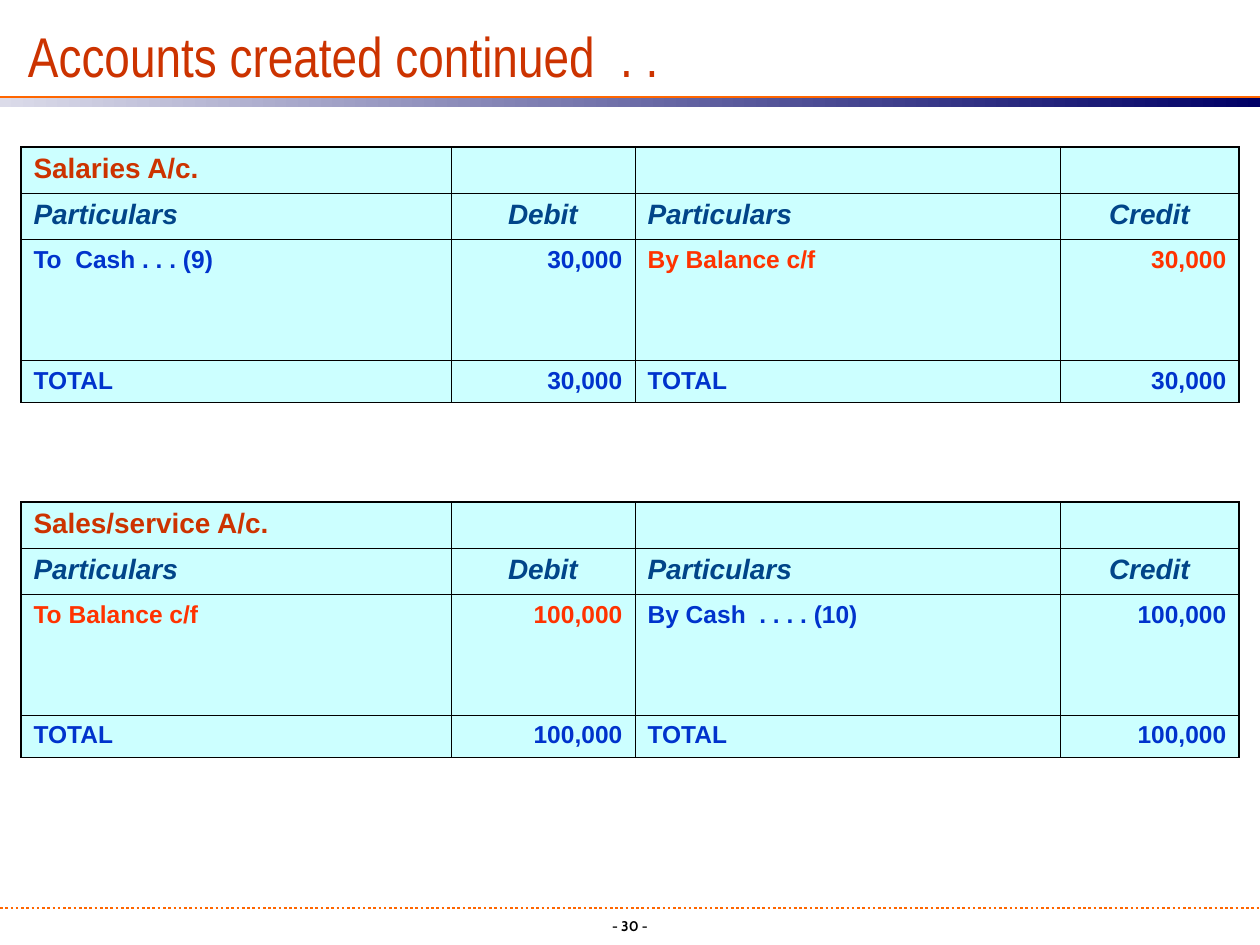
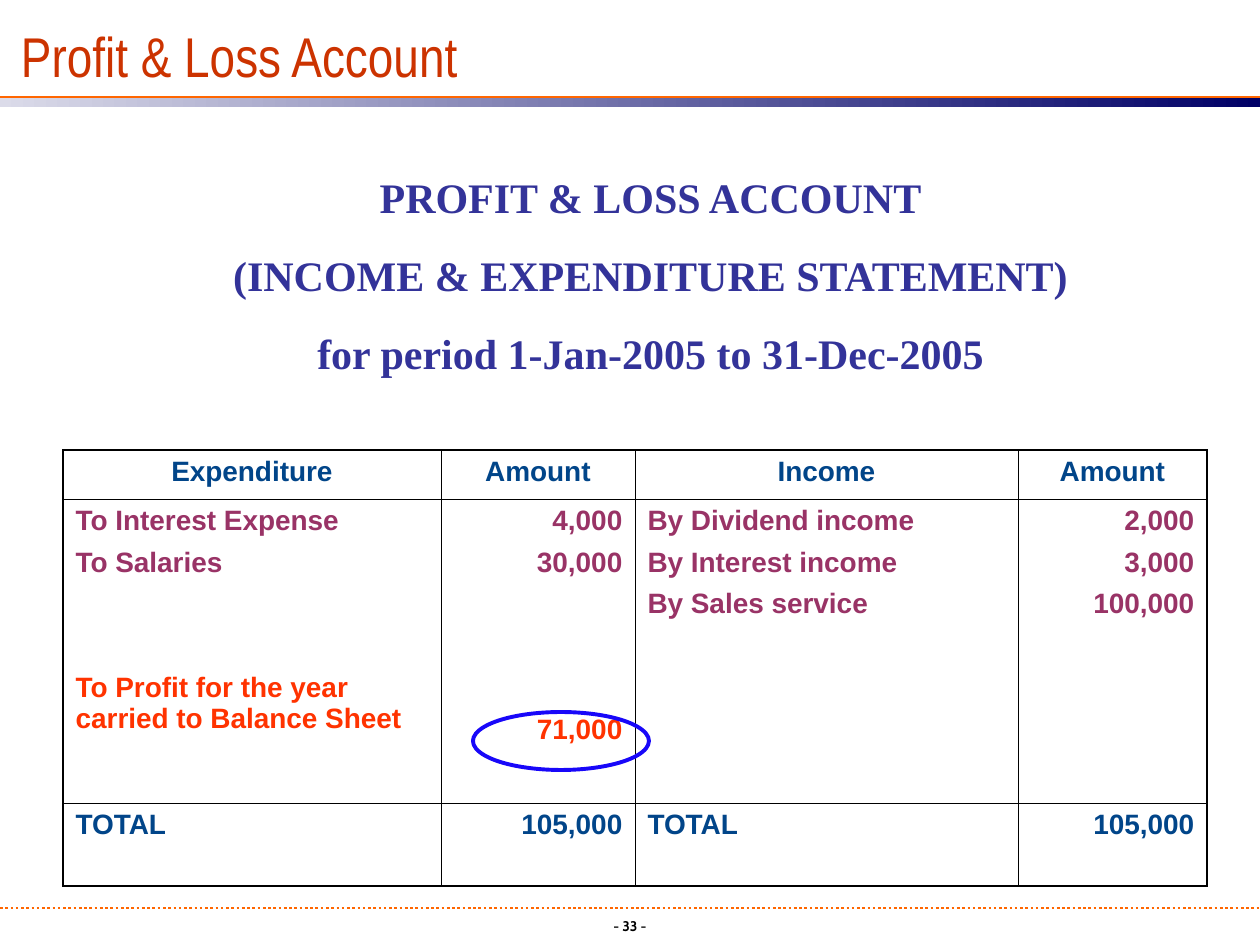
from lxml.etree import SubElement
from pptx import Presentation
from pptx.dml.color import RGBColor
from pptx.enum.dml import MSO_LINE
from pptx.enum.shapes import MSO_CONNECTOR, MSO_SHAPE
from pptx.enum.text import MSO_ANCHOR, MSO_AUTO_SIZE, PP_ALIGN
from pptx.oxml.ns import qn
from pptx.util import Pt

PX = 7257  # EMU per px, 126 px to the inch
WIDTH, HEIGHT = 1260, 945

COLOURS = {
    "title": "CC3300", "shadow": "969696", "rule": "FF6600",
    "band start": "DBDBE9", "band end": "000066", "black": "000000",
    "cell": "CCFFFF", "heading": "014589", "entry": "0033CC",
    "balance": "FF3300", "item": "993366", "statement": "333399",
    "ring": "1807F9",
}
RGB = {name: RGBColor.from_string(value) for name, value in COLOURS.items()}

LEFT, CENTER, RIGHT = PP_ALIGN.LEFT, PP_ALIGN.CENTER, PP_ALIGN.RIGHT
# size, colour, italic, alignment in (text, amount) columns
STYLES = {
    "account": (16, "title", False, (LEFT, RIGHT)),
    "column": (16, "heading", True, (LEFT, CENTER)),
    "entry": (14, "entry", False, (LEFT, RIGHT)),
    "carried": (14, "balance", False, (LEFT, RIGHT)),
    "header": (16, "heading", False, (CENTER, CENTER)),
    "item": (16, "item", False, (LEFT, RIGHT)),
    "profit": (16, "balance", False, (LEFT, RIGHT)),
    "total": (16, "heading", False, (LEFT, RIGHT)),
}


def add_run(para, text, font, size, colour, bold=False, italic=False):
    span = para.add_run()
    span.text = text
    span.font.name = font
    span.font.size = Pt(size)
    span.font.bold = bold
    span.font.italic = italic
    span.font.color.rgb = RGB[colour]
    return span


def add_ledger(page, left, top, widths, heights, rows, fill=None):
    """Draw a ruled table; each cell lists (text, style, space before)."""
    frame = page.shapes.add_table(len(heights), len(widths), left * PX, top * PX,
                                  sum(widths) * PX, sum(heights) * PX)
    table = frame.table
    table.first_row = table.horz_banding = False
    for column, width in zip(table.columns, widths):
        column.width = width * PX
    for row, height in zip(table.rows, heights):
        row.height = height * PX

    for r, row in enumerate(rows):
        for c, lines in enumerate(row):
            cell = table.cell(r, c)
            cell.margin_left = cell.margin_right = Pt(7.2)
            cell.margin_top = cell.margin_bottom = Pt(3.6)
            outer = {"L": c == 0, "R": c == len(widths) - 1,
                     "T": r == 0, "B": r == len(heights) - 1}
            for side, is_outer in outer.items():
                edge = SubElement(cell._tc.get_or_add_tcPr(), qn(f"a:ln{side}"),
                                  w=str(Pt(1.08 if is_outer else 0.45)))
                solid = SubElement(edge, qn("a:solidFill"))
                SubElement(solid, qn("a:srgbClr"), val=COLOURS["black"])
            if fill:
                cell.fill.solid()
                cell.fill.fore_color.rgb = RGB[fill]
            else:
                cell.fill.background()

            para = cell.text_frame.paragraphs[0]
            if not lines:
                SubElement(para._p, qn("a:endParaRPr"), sz="1600")
            for i, (text, style, space) in enumerate(lines):
                if i:
                    para = cell.text_frame.add_paragraph()
                size, colour, italic, aligns = STYLES[style]
                para.alignment = aligns[c % 2]
                para.space_before = Pt(space)
                add_run(para, text, "Arial", size, colour, True, italic)


deck = Presentation()
deck.slide_width, deck.slide_height = WIDTH * PX, HEIGHT * PX

# Title, bands and page number
pages = []
for title_text, title_box, number in [
    ("Accounts created continued  . .", (28, 21, 1071, 68), 30),
    ("Profit & Loss Account", (21, 18, 672, 71), 33),
]:
    page = deck.slides.add_slide(deck.slide_layouts[5])
    pages.append(page)

    band = page.shapes.add_shape(MSO_SHAPE.RECTANGLE, 0, 98 * PX, WIDTH * PX, 9 * PX)
    band.shadow.inherit = False
    band.line.fill.background()
    band.fill.gradient()
    band.fill.gradient_angle = 0
    for stop, colour in zip(band.fill.gradient_stops, ("band start", "band end")):
        stop.color.rgb = RGB[colour]

    for y, dash in [(97, MSO_LINE.SOLID), (908, MSO_LINE.ROUND_DOT)]:
        rule = page.shapes.add_connector(MSO_CONNECTOR.STRAIGHT, 0, y * PX,
                                         WIDTH * PX, y * PX)
        rule.line.color.rgb = RGB["rule"]
        rule.line.width = Pt(1.5)
        rule.line.dash_style = dash
        SubElement(rule._element.spPr, qn("a:effectLst"))

    footer = page.shapes.add_textbox(499 * PX, 911 * PX, 262 * PX, 34 * PX)
    footer.text_frame.word_wrap = True
    para = footer.text_frame.paragraphs[0]
    para.alignment = CENTER
    add_run(para, f"- {number} -", "Cabin", 8, "black", bold=True)

    title = page.shapes.title
    title.left, title.top, title.width, title.height = [n * PX for n in title_box]
    frame = title.text_frame
    frame.margin_left = frame.margin_right = frame.margin_top = frame.margin_bottom = 0
    frame.vertical_anchor = MSO_ANCHOR.BOTTOM
    frame.auto_size = MSO_AUTO_SIZE.NONE
    para = frame.paragraphs[0]
    para.alignment = LEFT
    span = add_run(para, title_text, "Arial Narrow", 32, "title")
    effects = SubElement(span._r.rPr, qn("a:effectLst"))
    span._r.rPr.find(qn("a:solidFill")).addnext(effects)
    shadow = SubElement(effects, qn("a:outerShdw"), dist="25400", dir="2700000")
    SubElement(shadow, qn("a:srgbClr"), val=COLOURS["shadow"])

accounts_page, profit_page = pages

# Accounts
for top, account, debit, credit, amount in [
    (147, "Salaries A/c.", ("To  Cash . . . (9)", "entry"),
     ("By Balance c/f", "carried"), "30,000"),
    (502, "Sales/service A/c.", ("To Balance c/f", "carried"),
     ("By Cash  . . . . (10)", "entry"), "100,000"),
]:
    headings = ["Particulars", "Debit", "Particulars", "Credit"]
    entries = [debit, (amount, debit[1]), credit, (amount, credit[1])]
    rows = [
        [[(account, "account", 0)], [], [], []],
        [[(heading, "column", 0)] for heading in headings],
        [[(text, style, 0)] for text, style in entries],
        [[(text, "entry", 0)] for text in ["TOTAL", amount] * 2],
    ]
    add_ledger(accounts_page, 21, top, [430, 184, 425, 179], [43, 43, 121, 40],
               rows, fill="cell")

# Profit and loss
add_ledger(profit_page, 63, 450, [378, 194, 383, 189], [49, 304, 83], [
    [[(text, "header", 0)] for text in ["Expenditure", "Amount", "Income", "Amount"]],
    [
        [("To Interest Expense", "item", 0), ("To Salaries", "item", 6),
         ("To Profit for the year carried to Balance Sheet", "profit", 54)],
        [("4,000", "item", 0), ("30,000", "item", 6), ("71,000", "profit", 78)],
        [("By Dividend income", "item", 0), ("By Interest income", "item", 6),
         ("By Sales service", "item", 6)],
        [("2,000", "item", 0), ("3,000", "item", 6), ("100,000", "item", 6)],
    ],
    [[(text, "total", 0)] for text in ["TOTAL", "105,000"] * 2],
])

statement = profit_page.shapes.add_textbox(73 * PX, 165 * PX, 1155 * PX, 217 * PX)
frame = statement.text_frame
frame.word_wrap = True
for i, text in enumerate(["PROFIT & LOSS ACCOUNT",
                          "(INCOME & EXPENDITURE STATEMENT)",
                          "for period 1-Jan-2005 to 31-Dec-2005"]):
    para = frame.add_paragraph() if i else frame.paragraphs[0]
    para.alignment = CENTER
    para.space_before = Pt(16 if i else 0)
    add_run(para, text, "Times New Roman", 24, "statement", bold=True)

ring = profit_page.shapes.add_shape(MSO_SHAPE.OVAL, 473 * PX, 712 * PX, 176 * PX, 58 * PX)
ring.shadow.inherit = False
ring.fill.background()
ring.line.color.rgb = RGB["ring"]
ring.line.width = Pt(2.25)

deck.save("out.pptx")
